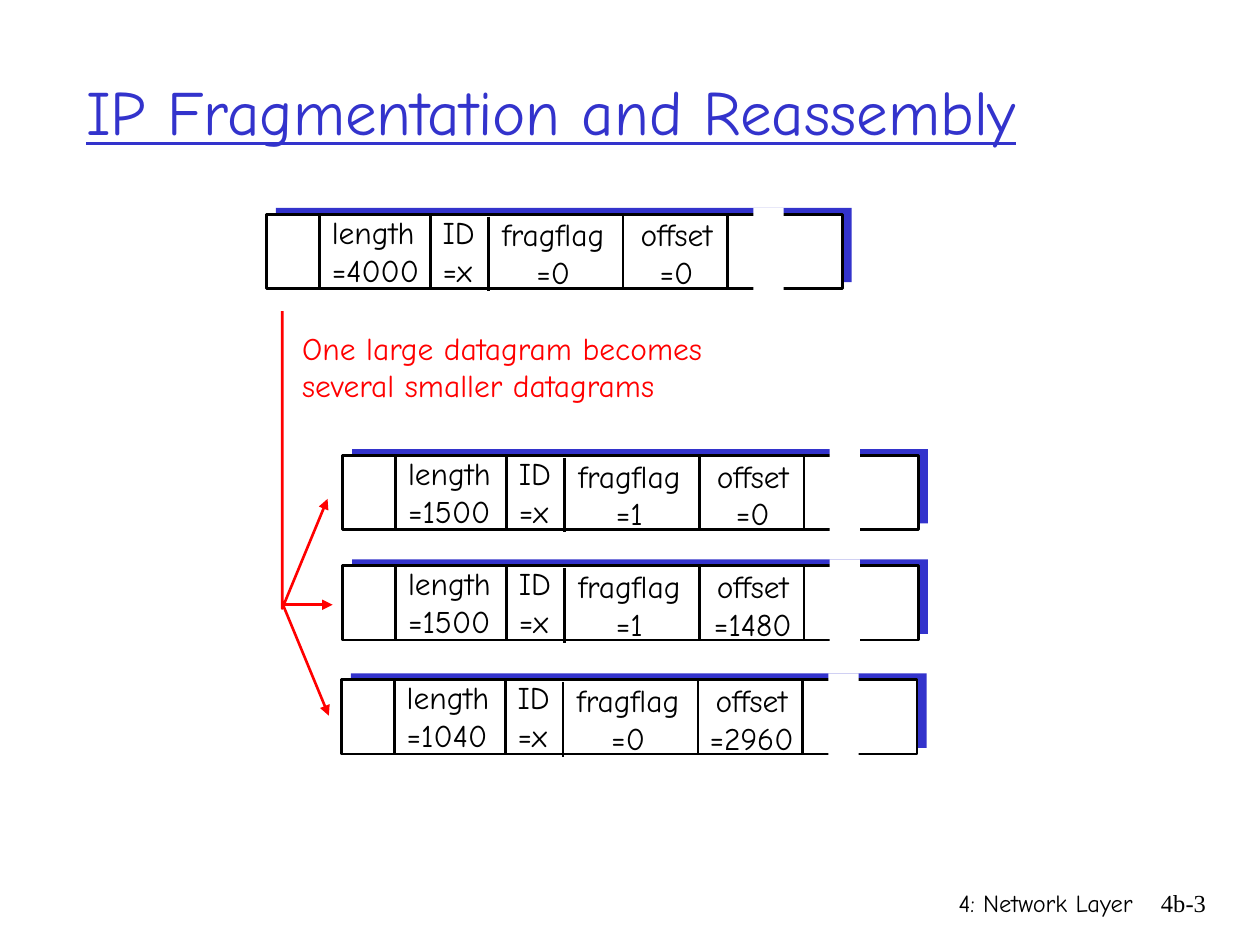
from dataclasses import dataclass

from lxml.etree import SubElement
from pptx import Presentation
from pptx.dml.color import RGBColor
from pptx.enum.shapes import MSO_CONNECTOR, MSO_SHAPE
from pptx.enum.text import MSO_ANCHOR, MSO_AUTO_SIZE, PP_ALIGN
from pptx.oxml.ns import qn
from pptx.util import Inches, Pt

SLIDE_WIDTH, SLIDE_HEIGHT = Inches(10), Inches(7.5)
CELL = SLIDE_WIDTH // 100


@dataclass(frozen=True)
class Theme:
    blue: RGBColor = RGBColor(0x33, 0x33, 0xCC)
    red: RGBColor = RGBColor(0xFF, 0x00, 0x00)
    black: RGBColor = RGBColor(0x00, 0x00, 0x00)
    white: RGBColor = RGBColor(0xFF, 0xFF, 0xFF)
    main_font: str = "Comic Neue"
    number_font: str = "Times New Roman"
    title_size: Pt = Pt(36)
    body_size: Pt = Pt(18)
    footer_size: Pt = Pt(14)
    line_width: Pt = Pt(1.5)


@dataclass(frozen=True)
class Box:
    column: float
    row: float
    columns: float
    rows: float

    def inside(self, column, row, columns, rows):
        return Box(self.column + column, self.row + row, columns, rows)

    def point(self, column, row):
        return cells(self.column + column), cells(self.row + row)

    def lengths(self):
        return [cells(value) for value in (self.column, self.row, self.columns, self.rows)]


THEME = Theme()
BODY = {"name": THEME.main_font, "size": THEME.body_size}
TITLE = {"name": THEME.main_font, "size": THEME.title_size, "underline": True}
FOOTER = {"name": THEME.main_font, "size": THEME.footer_size}
PAGE_NUMBER = {"name": THEME.number_font, "size": THEME.footer_size}
WRAPPED = {"word_wrap": True}
FITTED = {"word_wrap": False, "auto_size": MSO_AUTO_SIZE.SHAPE_TO_FIT_TEXT}

DATAGRAM_COLUMNS, DATAGRAM_ROWS = 45.7, 5.9
DIVIDERS = [(4.2, 0), (13, 0), (17.6, 0.2), (28.3, 0), (36.6, 0)]
FIELDS = [
    ("length", 4.2, -0.6, 9.3, PP_ALIGN.LEFT),
    ("ID", 13, -0.6, 5, PP_ALIGN.LEFT),
    ("fragflag", 17.5, -0.4, 10.5, PP_ALIGN.CENTER),
    ("offset", 27.9, -0.4, 9.3, PP_ALIGN.CENTER),
]
DATAGRAMS = [
    (21.15, 17, ("=4000", "=x", "=0", "=0")),
    (27.2, 36.15, ("=1500", "=x", "=1", "=0")),
    (27.2, 44.9, ("=1500", "=x", "=1", "=1480")),
    (27.1, 53.95, ("=1040", "=x", "=0", "=2960")),
]


def cells(count):
    return round(count * CELL)


def apply_format(target, values):
    for name, value in values.items():
        setattr(target, name, value)


def add_text(shapes, box, lines, font, color, frame, align=PP_ALIGN.LEFT):
    text_frame = shapes.add_textbox(*box.lengths()).text_frame
    apply_format(text_frame, frame)
    text_frame.text = "\n".join(lines)
    for paragraph in text_frame.paragraphs:
        paragraph.alignment = align
        run_font = paragraph.runs[0].font
        apply_format(run_font, font)
        run_font.color.rgb = color


def add_rectangle(shapes, box, fill, line=None):
    shape = shapes.add_shape(MSO_SHAPE.RECTANGLE, *box.lengths())
    shape.shadow.inherit = False
    shape.fill.solid()
    shape.fill.fore_color.rgb = fill
    if line is None:
        shape.line.fill.background()
    else:
        style_line(shape.line, line)


def style_line(line, color, arrow=False):
    line.color.rgb = color
    line.width = THEME.line_width
    if arrow:
        SubElement(line._get_or_add_ln(), qn("a:tailEnd"), type="triangle")


def add_line(shapes, start, end, color, arrow=False):
    connector = shapes.add_connector(MSO_CONNECTOR.STRAIGHT, *start, *end)
    style_line(connector.line, color, arrow)
    SubElement(connector._element.spPr, qn("a:effectLst"))


def add_title(slide, box):
    add_text(slide.shapes, box, ["IP Fragmentation and Reassembly"], TITLE, THEME.blue,
             {"word_wrap": True, "vertical_anchor": MSO_ANCHOR.MIDDLE})


def add_footer(slide, box):
    for text, font, column, columns in (
        ("4: Network Layer", FOOTER, 0, 31.7),
        ("4b-3", PAGE_NUMBER, 30.1, 7.4),
    ):
        add_text(slide.shapes, box.inside(column, 0, columns, box.rows), [text], font,
                 THEME.black, WRAPPED, PP_ALIGN.RIGHT)


def add_datagram(slide, box, values):
    shapes = slide.shapes.add_group_shape().shapes
    add_rectangle(shapes, box.inside(0.75, -0.5, box.columns, box.rows), THEME.blue)
    add_rectangle(shapes, box, THEME.white, THEME.black)
    for (label, column, row, columns, align), value in zip(FIELDS, values):
        add_text(shapes, box.inside(column, row, columns, 7), [label, value], BODY,
                 THEME.black, FITTED, align)
    for column, row in DIVIDERS:
        add_line(shapes, box.point(column, row), box.point(column, row + box.rows), THEME.black)
    add_rectangle(shapes, box.inside(38.65, -0.5, 2.4, 6.6), THEME.white)


def add_split(slide, box):
    builder = slide.shapes.build_freeform(*box.point(0, 0))
    builder.add_line_segments(
        [box.point(0, box.rows), box.point(box.columns, 14.9)], close=False)
    trunk = builder.convert_to_shape()
    trunk.shadow.inherit = False
    trunk.fill.background()
    style_line(trunk.line, THEME.red, arrow=True)
    for start, end in (((0, 23.3), (4, 23.3)), ((0.1, 23.4), (3.7, 32.1))):
        add_line(slide.shapes, box.point(*start), box.point(*end), THEME.red, arrow=True)
    add_text(slide.shapes, box.inside(0.6, 0.9, 33.9, 7),
             ["One large datagram becomes", "several smaller datagrams"],
             BODY, THEME.red, FITTED)


def main():
    presentation = Presentation()
    apply_format(presentation, {"slide_width": SLIDE_WIDTH, "slide_height": SLIDE_HEIGHT})
    slide = presentation.slides.add_slide(presentation.slide_layouts[6])
    add_footer(slide, Box(59.2, 70, 37.5, 5))
    add_title(slide, Box(5.85, 2.5, 85, 12.5))
    for column, row, values in DATAGRAMS:
        add_datagram(slide, Box(column, row, DATAGRAM_COLUMNS, DATAGRAM_ROWS), values)
    add_split(slide, Box(22.4, 24.7, 3.6, 23.6))
    presentation.save("out.pptx")


if __name__ == "__main__":
    main()
